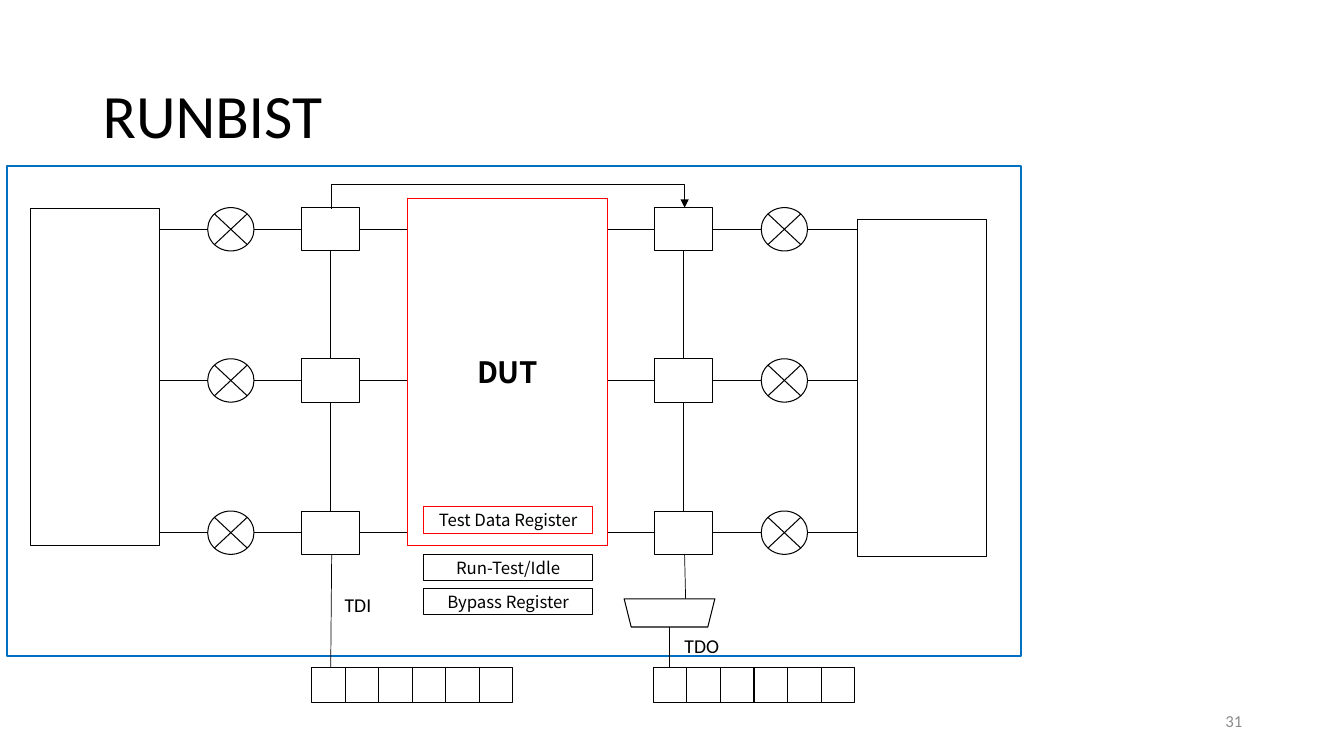
from lxml import etree
from pptx import Presentation, util as u
from pptx.dml.color import RGBColor
from pptx.enum import shapes, text
from pptx.oxml.ns import qn

BLACK = RGBColor(0, 0, 0)
RED = RGBColor(255, 0, 0)
BLUE = RGBColor(0, 0x70, 0xC0)
GRAY = RGBColor(0x8C, 0x8C, 0x8C)
SANS, BODY = "Noto Sans CJK SC", "Calibri"
KIND = shapes.MSO_SHAPE
WIRE = shapes.MSO_CONNECTOR
ALIGN = text.PP_ALIGN
UNIT = u.Inches(0.1)
ROWS = (20.6, 35.6, 50.7)
HIGH, CELL, LAMP = 4.3, 5.8, 4.6
CELLS, LAMPS = (29.9, 64.9), (20.6, 75.5)
SPANS = ((15.8, 20.6), (25.2, 29.9), (35.7, 40.4),
         (60.3, 64.9), (70.7, 75.5), (80.1, 85))
BARS = (("Test Data Register", 50.3, RED), ("Run-Test/Idle", 55, BLACK),
        ("Bypass Register", 58.4, BLACK))
STRIPS, PITCH = (30.9, 64.8), 3.33


def grid(*vals):
    """Turn grid units into slide lengths."""
    return [round(v * UNIT) for v in vals]


def style(para, size, font, color, bold=False):
    """Set the font of a paragraph."""
    face = para.font
    face.size, face.name, face.bold = u.Pt(size), font, bold
    face.color.rgb = color


def box(slide, at, kind=KIND.RECTANGLE, color=BLACK, width=0.75):
    """Add an unfilled outline shape."""
    shape = slide.shapes.add_shape(kind, *grid(*at))
    shape.shadow.inherit = False
    shape.fill.background()
    shape.line.color.rgb = color
    shape.line.width = u.Pt(width)
    return shape


def block(slide, at, words, size, color=BLACK, bold=False):
    """Add an outlined box with a centred name."""
    frame = box(slide, at, color=color).text_frame
    frame.text = words
    frame.word_wrap = False
    frame.vertical_anchor = text.MSO_ANCHOR.MIDDLE
    frame.margin_left = frame.margin_right = u.Inches(0.03)
    frame.margin_top = frame.margin_bottom = u.Inches(0.02)
    para = frame.paragraphs[0]
    para.alignment = ALIGN.CENTER
    style(para, size, SANS, BLACK, bold)


def label(slide, at, words, size, color=BLACK, align=ALIGN.LEFT):
    """Add free text."""
    frame = slide.shapes.add_textbox(*grid(*at)).text_frame
    frame.word_wrap = True
    frame.vertical_anchor = text.MSO_ANCHOR.MIDDLE
    frame.text = words
    para = frame.paragraphs[0]
    para.alignment = align
    style(para, size, BODY, color)


def wire(slide, x1, y1, x2, y2, kind=WIRE.STRAIGHT):
    """Add a thin black line."""
    line = slide.shapes.add_connector(kind, *grid(x1, y1, x2, y2))
    line.line.color.rgb = BLACK
    line.line.width = u.Pt(0.5)
    etree.SubElement(line._element.spPr, qn("a:effectLst"))
    return line


def loop(slide):
    """Add the bent arrow that runs over the DUT."""
    line = wire(slide, 50.45, 38.15, 50.35, 3.15, WIRE.ELBOW)
    props = line._element.spPr
    props.find(qn("a:xfrm")).set("rot", "5400000")
    geom = props.find(qn("a:prstGeom"))
    guides = geom.find(qn("a:avLst"))
    if guides is None:
        guides = etree.SubElement(geom, qn("a:avLst"))
    etree.SubElement(guides, qn("a:gd"), name="adj1", fmla="val 2450000")
    stroke = props.find(qn("a:ln"))
    etree.SubElement(stroke, qn("a:tailEnd"), type="triangle")


def scan(slide):
    """Add the boundary cells, pins and their wires."""
    for top in ROWS:
        for left in CELLS:
            box(slide, (left, top, CELL, HIGH))
        for left in LAMPS:
            box(slide, (left, top, LAMP, HIGH),
                KIND.FLOWCHART_SUMMING_JUNCTION)
        mid = top + HIGH / 2
        for start, end in SPANS:
            wire(slide, start, mid, end, mid)
    for left in CELLS:
        mid = left + CELL / 2
        for top, low in zip(ROWS, ROWS[1:]):
            wire(slide, mid, top + HIGH, mid, low)


def ports(slide):
    """Add the TDI and TDO paths with their bit strips."""
    wire(slide, 32.9, 55, 32.8, 66.2)
    wire(slide, 67.9, 55, 68, 59.4)
    box(slide, (61.9, 59.4, 9, 2.8), KIND.TRAPEZOID).rotation = 180
    wire(slide, 66.4, 62.2, 66.4, 66.2)
    for left in STRIPS:
        for step in range(6):
            box(slide, (left + step * PITCH, 66.2, PITCH, 3.5))
    label(slide, (33.2, 58.3, 5.8, 3.4), "TDI", 14)
    label(slide, (66.9, 62.4, 5.8, 3.4), "TDO", 14)


def main():
    """Build the slide."""
    deck = Presentation()
    deck.slide_width, deck.slide_height = u.Inches(13.33), u.Inches(7.5)
    slide = deck.slides.add_slide(deck.slide_layouts[6])
    label(slide, (9.2, 4, 115, 14.5), "RUNBIST", 44)
    label(slide, (94.2, 69.5, 30, 4), "31", 12, GRAY, ALIGN.RIGHT)
    box(slide, (0.7, 16.5, 100.6, 48.6), color=BLUE, width=1.5)
    block(slide, (40.4, 19.7, 19.9, 34.4), "DUT", 21, RED, True)
    for left, top in ((3, 20.7), (85, 21.8)):
        box(slide, (left, top, 12.8, 33.4))
    scan(slide)
    loop(slide)
    for words, top, color in BARS:
        block(slide, (42, top, 16.8, 2.6), words, 12, color)
    ports(slide)
    deck.save("out.pptx")


if __name__ == "__main__":
    main()
